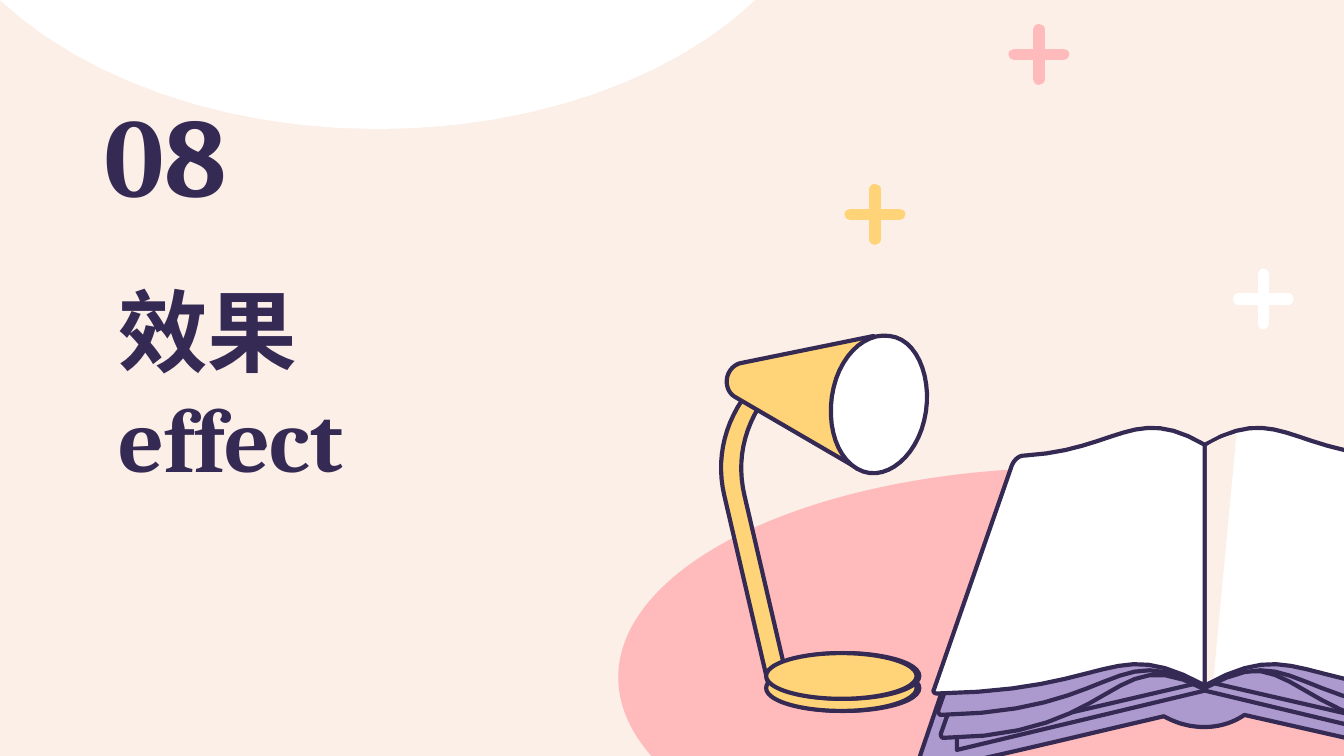
from dataclasses import dataclass
from typing import Optional

from lxml.etree import SubElement
from pptx import Presentation
from pptx.dml.color import RGBColor
from pptx.enum.shapes import MSO_CONNECTOR, MSO_SHAPE
from pptx.enum.text import MSO_ANCHOR, PP_ALIGN
from pptx.oxml.ns import qn
from pptx.util import Inches, Pt

INK, CREAM, WHITE = "352A53", "FCEFE7", "FFFFFF"
PINK, YELLOW, PURPLE = "FFBBBB", "FFD378", "AC99CE"
STEPS = 12  # straight pieces per curve
SPINE = 896.5  # column of the book's centre fold

prs = Presentation()
prs.slide_width = Inches(10)
prs.slide_height = prs.slide_width * 9 // 16
COL = prs.slide_width / 1000  # square grid, 1000 columns by 562.5 rows
ROW = prs.slide_height / 562.5
s = prs.slides.add_slide(prs.slide_layouts[6])


@dataclass
class Outline:
    """Outline of M, L and C commands in grid columns and rows."""
    d: str
    fill: Optional[str] = None
    line: Optional[str] = INK


@dataclass
class Plus:
    x: float
    y: float
    color: str


@dataclass
class Label:
    box: tuple[float, float, float, float]
    lines: list[str]
    size: int
    insets: tuple[float, float, float, float]


def rgb(color: str) -> RGBColor:
    return RGBColor.from_string(color)


def paint(sp, fill: Optional[str], line: Optional[str]) -> None:
    sp.shadow.inherit = False
    if fill:
        sp.fill.solid()
        sp.fill.fore_color.rgb = rgb(fill)
    else:
        sp.fill.background()
    if line:
        sp.line.color.rgb = rgb(line)
        sp.line.width = Pt(2.25)
    else:
        sp.line.fill.background()


def trace(d: str) -> list[tuple[float, float]]:
    """Turn commands into points, sampling each cubic curve."""
    pts: list[tuple[float, float]] = []
    tokens = iter(d.split())
    for command in tokens:
        ends = [(float(next(tokens)), float(next(tokens)))
                for _ in range(3 if command == "C" else 1)]
        if command != "C":
            pts += ends
            continue
        curve = [pts[-1], *ends]
        for i in range(1, STEPS + 1):
            t = i / STEPS
            weights = ((1 - t) ** 3, 3 * t * (1 - t) ** 2, 3 * t * t * (1 - t), t ** 3)
            pts.append(tuple(sum(w * c[axis] for w, c in zip(weights, curve))
                             for axis in (0, 1)))
    return pts


def draw(o: Outline, mirror: bool = False, dy: float = 0) -> None:
    pts = [((2 * SPINE - x if mirror else x) * COL, (y + dy) * ROW)
           for x, y in trace(o.d)]
    fb = s.shapes.build_freeform(*pts[0], scale=1.0)
    fb.add_line_segments(pts[1:], close=True)
    paint(fb.convert_to_shape(), o.fill, o.line)


def oval(x: float, y: float, w: float, h: float,
         fill: Optional[str], line: Optional[str] = INK) -> None:
    sp = s.shapes.add_shape(MSO_SHAPE.OVAL, int(x * COL), int(y * ROW),
                            int(w * COL), int(h * ROW))
    paint(sp, fill, line)


def draw_plus(plus: Plus, arm: float = 18.5) -> None:
    for dx, dy in ((0, arm), (arm, 0)):
        c = s.shapes.add_connector(
            MSO_CONNECTOR.STRAIGHT,
            int((plus.x - dx) * COL), int((plus.y - dy) * ROW),
            int((plus.x + dx) * COL), int((plus.y + dy) * ROW))
        c.line.color.rgb = rgb(plus.color)
        c.line.width = Pt(6)
        c.line._get_or_add_ln().set("cap", "rnd")
        SubElement(c._element.spPr, qn("a:effectLst"))


def write(label: Label) -> None:
    x, y, w, h = label.box
    tb = s.shapes.add_textbox(int(x * COL), int(y * ROW), int(w * COL), int(h * ROW))
    tf = tb.text_frame
    tf.word_wrap = True
    tf.vertical_anchor = MSO_ANCHOR.MIDDLE
    tf.margin_left, tf.margin_top, tf.margin_right, tf.margin_bottom = map(Inches, label.insets)
    for i, text in enumerate(label.lines):
        p = tf.add_paragraph() if i else tf.paragraphs[0]
        p.alignment = PP_ALIGN.LEFT
        r = p.add_run()
        r.text = text
        r.font.name, r.font.size, r.font.bold = "Cambria", Pt(label.size), True
        r.font.color.rgb = rgb(INK)


# Backdrop
s.background.fill.solid()
s.background.fill.fore_color.rgb = rgb(CREAM)
oval(460, 348, 675, 312, PINK, None)
draw(Outline("M 281 96 C 165 96 62 58 0 0 L 0 -96 L 562 -96 L 562 0 C 501 58 398 96 281 96",
             WHITE, None))
for plus in (Plus(940, 222.5, WHITE), Plus(651, 159.5, YELLOW), Plus(773, 40.5, PINK)):
    draw_plus(plus)

# Titles
write(Label((78, 222, 429, 126), ["效果", "effect"], 48, (0.1, 0.1, 0.1, 0.1)))
write(Label((78, 89, 118, 59), ["08"], 60, (0, 0, 0, 0.1)))

# Lamp: stem, two-tier base, shade and lens
draw(Outline("M 573 269 L 552 298 C 538 319 533 344 539 369 L 573 515 L 588 515 "
             "L 554 369 C 548 344 553 319 568 298 L 588 269", YELLOW))
for top in (495, 486):
    oval(572, top, 112, 34, None)
    oval(570, top, 112, 34, YELLOW)
draw(Outline("M 650 250 L 552 270 C 546 271 542 276 541 281 "
             "C 540 287 542 293 548 296 L 639 349", YELLOW))
draw(Outline("M 689 306 C 685 334 666 354 647 352 C 627 349 615 324 619 295 "
             "C 623 267 642 247 662 250 C 681 252 693 278 689 306", WHITE))

# Book cover and inner leaves
draw(Outline("M 869 346 C 833 346 807 390 749 393 C 745 394 742 396 740 400 L 682 570 "
             "C 682 572 683 574 685 574 C 711 570 814 545 866 533 C 875 538 885 541 896 541 "
             "C 907 541 917 538 926 532 L 1107 573 C 1109 573 1111 571 1110 569 L 1052 400 "
             "C 1051 396 1047 394 1043 393 C 985 390 960 346 924 346 "
             "C 915 346 906 348 896 354 C 886 348 877 346 869 346", PURPLE))
wedge = Outline("M 896 477 L 712 536 L 712 558 L 896 514", PURPLE)
draw(wedge)
draw(wedge, mirror=True)
draw(Outline("M 785 533 L 897 507 L 1006 532 L 1006 512 C 1006 512 887 480 888 480 "
             "C 890 479 785 533 785 533", PURPLE))

# Pages, each described for the left half
bottom = Outline("M 768 372 C 838 368 843 305 896.5 336 L 896.5 513 C 826 475 835 548 702 549 "
                 "C 701 549 700 548 700 546 L 759 379 C 760 375 764 372 768 372", PURPLE)
middle = Outline("M 766 355 C 836 351 844 303 896.5 334 L 896.5 512 C 827 474 833 530 700 532 "
                 "C 699 532 698 530 698 529 L 757 362 C 758 358 762 355 766 355", PURPLE)
top_page = Outline("M 762 339 C 832 335 844 300 896.5 331 L 896.5 510 C 827 472 830 514 697 516 "
                   "C 695 516 694 514 695 513 L 753 346 C 755 342 758 339 762 339", WHITE)
draw(bottom)
draw(bottom, mirror=True, dy=-3)
for page in (middle, top_page):
    draw(page, mirror=True)
for page in (middle, top_page):
    draw(page)

# Shade beside the fold
draw(Outline("M 920 323 C 908 325 898 332 898 332 L 898 507 L 903 504", CREAM, None))

prs.save("out.pptx")
